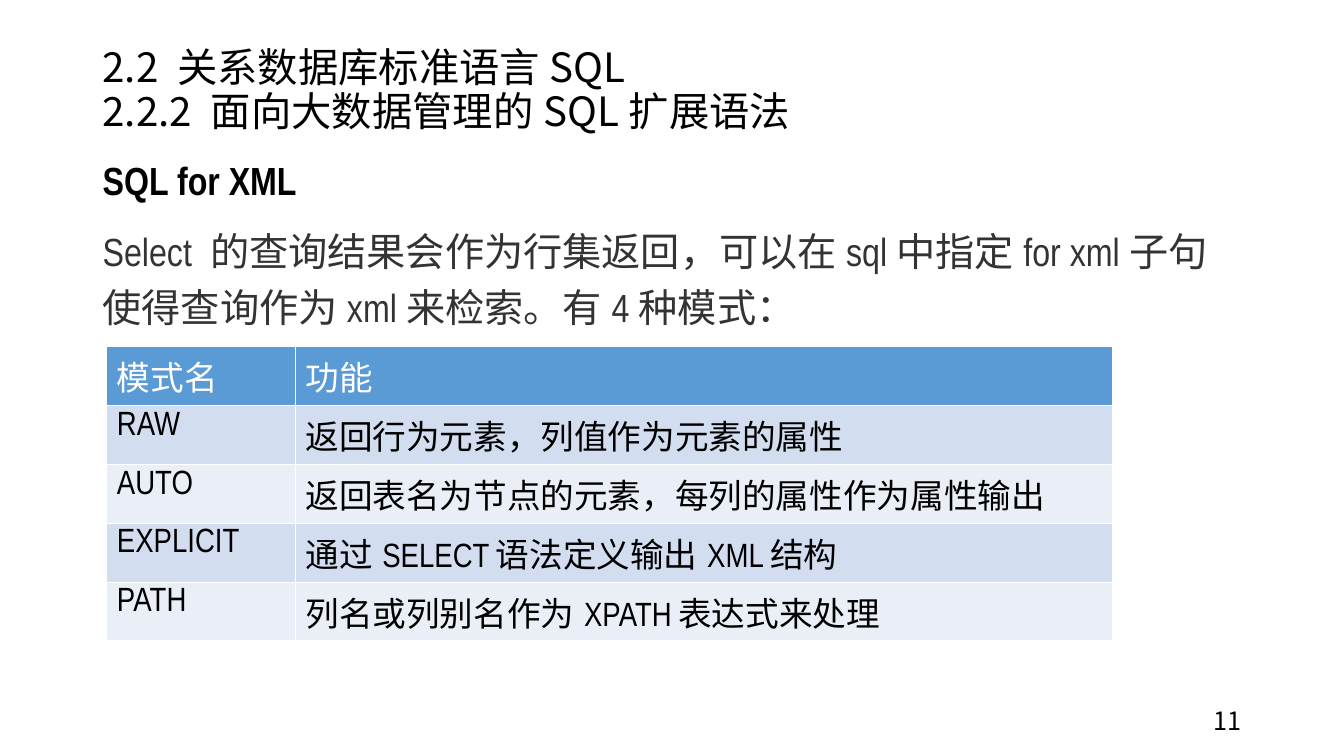
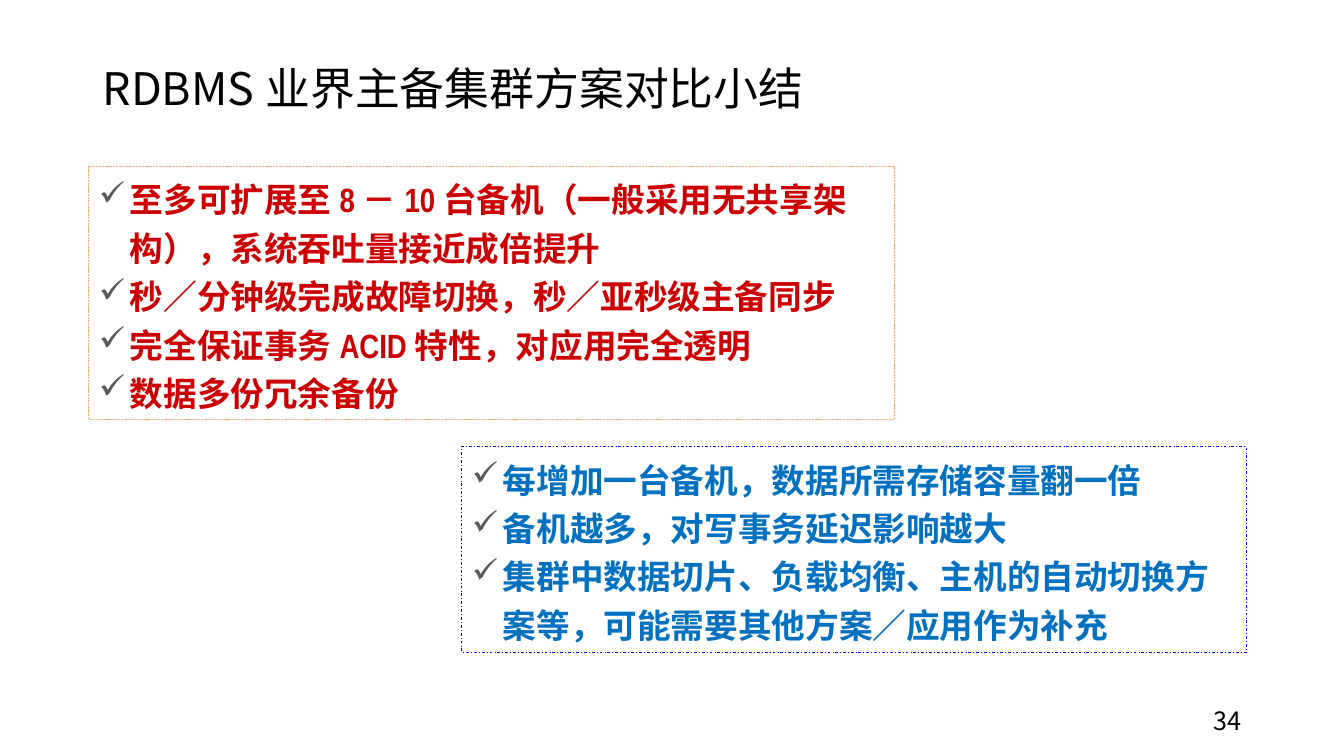
from dataclasses import dataclass
from typing import NamedTuple

from lxml.etree import SubElement
from pptx import Presentation
from pptx.dml.color import RGBColor as Rgb
from pptx.enum.dml import MSO_LINE_DASH_STYLE as Dash
from pptx.enum.shapes import MSO_SHAPE as Shape
from pptx.enum.text import MSO_ANCHOR as Anchor, PP_ALIGN as Align
from pptx.oxml.ns import qn
from pptx.util import Inches, Pt


@dataclass(frozen=True)
class Theme:
    width: float = 13.33
    height: float = 7.5
    latin: str = "Arial Narrow"
    cjk: str = "Noto Sans CJK SC"
    bullet_font: str = "Wingdings"
    bullet: str = "ü"
    black: str = "000000"
    white: str = "FFFFFF"
    gray: str = "333333"
    check: str = "595959"
    red: str = "CC0000"
    blue: str = "0070C0"
    orange_line: str = "F4B183"
    blue_line: str = "0000FF"
    header: str = "5B9BD5"
    bands: tuple = ("D2DEEF", "EAEFF7")
    title_size: float = 32
    two_line_title_size: float = 28.8
    body_size: float = 28
    list_size: float = 24
    number_size: float = 18
    title_spacing: float = 0.9
    body_spacing: float = 1.2


class Box(NamedTuple):
    left: float
    top: float
    width: float
    height: float

    def emu(self):
        return [Inches(length) for length in self]


THEME = Theme()
TITLE_BOX = Box(0.92, 0.4, 11.5, 1.01)
NUMBER_BOX = Box(9.41, 6.95, 3, 0.4)
BODY_BOX = Box(0.92, 1.41, 11.5, 2.03)
TABLE_BOX = Box(1.06, 3.44, 9.98, 2.92)
BENEFITS_BOX = Box(0.88, 1.65, 7.99, 2.51)
LIMITS_BOX = Box(4.58, 4.43, 7.78, 2.04)

MODES = [
    ("模式名", "功能"),
    ("RAW", "返回行为元素，列值作为元素的属性"),
    ("AUTO", "返回表名为节点的元素，每列的属性作为属性输出"),
    ("EXPLICIT", "通过SELECT语法定义输出XML结构"),
    ("PATH", "列名或列别名作为XPATH表达式来处理"),
]
BENEFITS = [
    "至多可扩展至8－10台备机（一般采用无共享架构），系统吞吐量接近成倍提升",
    "秒／分钟级完成故障切换，秒／亚秒级主备同步",
    "完全保证事务ACID特性，对应用完全透明",
    "数据多份冗余备份",
]
LIMITS = [
    "每增加一台备机，数据所需存储容量翻一倍",
    "备机越多，对写事务延迟影响越大",
    "集群中数据切片、负载均衡、主机的自动切换方案等，可能需要其他方案／应用作为补充",
]


def style_para(para, size, color, bold=False, latin=THEME.latin):
    for span in para.runs:
        font = span.font
        font.size, font.bold, font.name = Pt(size), bold, latin
        font.color.rgb = Rgb.from_string(color)
        east_asian = SubElement(font._element, qn("a:ea"), typeface=THEME.cjk)
        font._element.find(qn("a:latin")).addnext(east_asian)


def add_text(page, box, text, anchor=Anchor.TOP):
    frame = page.shapes.add_textbox(*box.emu()).text_frame
    frame.word_wrap = True
    frame.vertical_anchor = anchor
    frame.text = text
    return frame


def add_title(page, box, text, size):
    para = add_text(page, box, text, Anchor.MIDDLE).paragraphs[0]
    para.line_spacing = THEME.title_spacing
    style_para(para, size, THEME.black, latin=THEME.cjk)


def add_number(page, box, number):
    para = add_text(page, box, str(number), Anchor.MIDDLE).paragraphs[0]
    para.alignment = Align.RIGHT
    style_para(para, THEME.number_size, THEME.black, latin=THEME.cjk)


def add_body(page, box, heading, text):
    frame = add_text(page, box, f"{heading}\n{text}")
    for para in frame.paragraphs:
        para.line_spacing = THEME.body_spacing
        para.space_before = Pt(10)
    head, detail = frame.paragraphs
    style_para(head, THEME.body_size, THEME.black, bold=True)
    style_para(detail, THEME.body_size, THEME.gray)


def add_mode_table(page, box, rows):
    table = page.shapes.add_table(len(rows), len(rows[0]), *box.emu()).table
    name_width = 1.87
    for column, width in zip(table.columns, (name_width, box.width - name_width)):
        column.width = Inches(width)
    for index, row in enumerate(rows):
        table.rows[index].height = Inches(box.height / len(rows))
        fill = THEME.bands[(index - 1) % 2] if index else THEME.header
        color = THEME.black if index else THEME.white
        for cell, text in zip(table.rows[index].cells, row):
            cell.text = text
            cell.fill.solid()
            cell.fill.fore_color.rgb = Rgb.from_string(fill)
            style_para(cell.text_frame.paragraphs[0], THEME.list_size, color)


def add_check_bullet(para):
    props = para._p.get_or_add_pPr()
    indent = Inches(0.31)
    props.set("marL", str(indent))
    props.set("indent", str(-indent))
    color = SubElement(props, qn("a:buClr"))
    SubElement(color, qn("a:srgbClr"), val=THEME.check)
    SubElement(props, qn("a:buFont"), typeface=THEME.bullet_font, charset="2")
    SubElement(props, qn("a:buChar"), char=THEME.bullet)


def add_check_list(page, box, items, color, line_color, dash):
    panel = page.shapes.add_shape(Shape.RECTANGLE, *box.emu())
    panel.shadow.inherit = False
    panel.fill.background()
    panel.line.color.rgb = Rgb.from_string(line_color)
    panel.line.width = Pt(0.5)
    panel.line.dash_style = dash
    frame = panel.text_frame
    frame.word_wrap = True
    frame.vertical_anchor = Anchor.TOP
    frame.text = "\n".join(items)
    for para in frame.paragraphs:
        para.alignment = Align.LEFT
        para.line_spacing = THEME.body_spacing
        add_check_bullet(para)
        style_para(para, THEME.list_size, color, bold=True)


def add_page(deck, title, number, size=THEME.title_size):
    page = deck.slides.add_slide(deck.slide_layouts[6])
    add_title(page, TITLE_BOX, title, size)
    add_number(page, NUMBER_BOX, number)
    return page


def add_xml_page(deck):
    title = "2.2 关系数据库标准语言SQL\v2.2.2 面向大数据管理的SQL扩展语法"
    page = add_page(deck, title, 11, THEME.two_line_title_size)
    add_body(
        page,
        BODY_BOX,
        "SQL for XML",
        "Select 的查询结果会作为行集返回，可以在sql中指定for xml子句"
        "使得查询作为xml来检索。有4种模式：",
    )
    add_mode_table(page, TABLE_BOX, MODES)


def add_cluster_page(deck):
    page = add_page(deck, "RDBMS业界主备集群方案对比小结", 34)
    add_check_list(
        page, BENEFITS_BOX, BENEFITS, THEME.red, THEME.orange_line, Dash.SQUARE_DOT
    )
    add_check_list(
        page, LIMITS_BOX, LIMITS, THEME.blue, THEME.blue_line, Dash.DASH_DOT
    )


def main():
    deck = Presentation()
    deck.slide_width = Inches(THEME.width)
    deck.slide_height = Inches(THEME.height)
    add_xml_page(deck)
    add_cluster_page(deck)
    deck.save("out.pptx")


if __name__ == "__main__":
    main()
